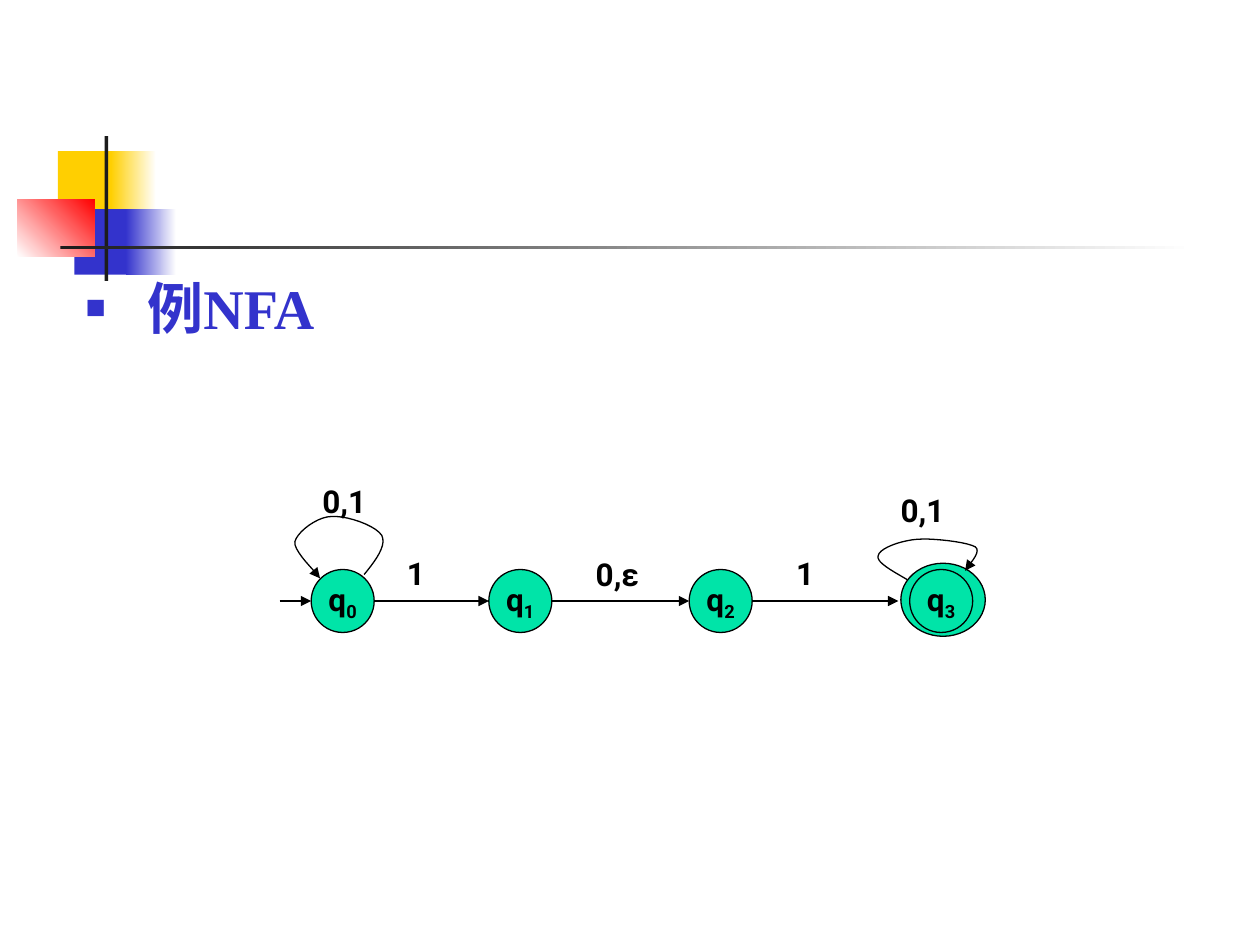
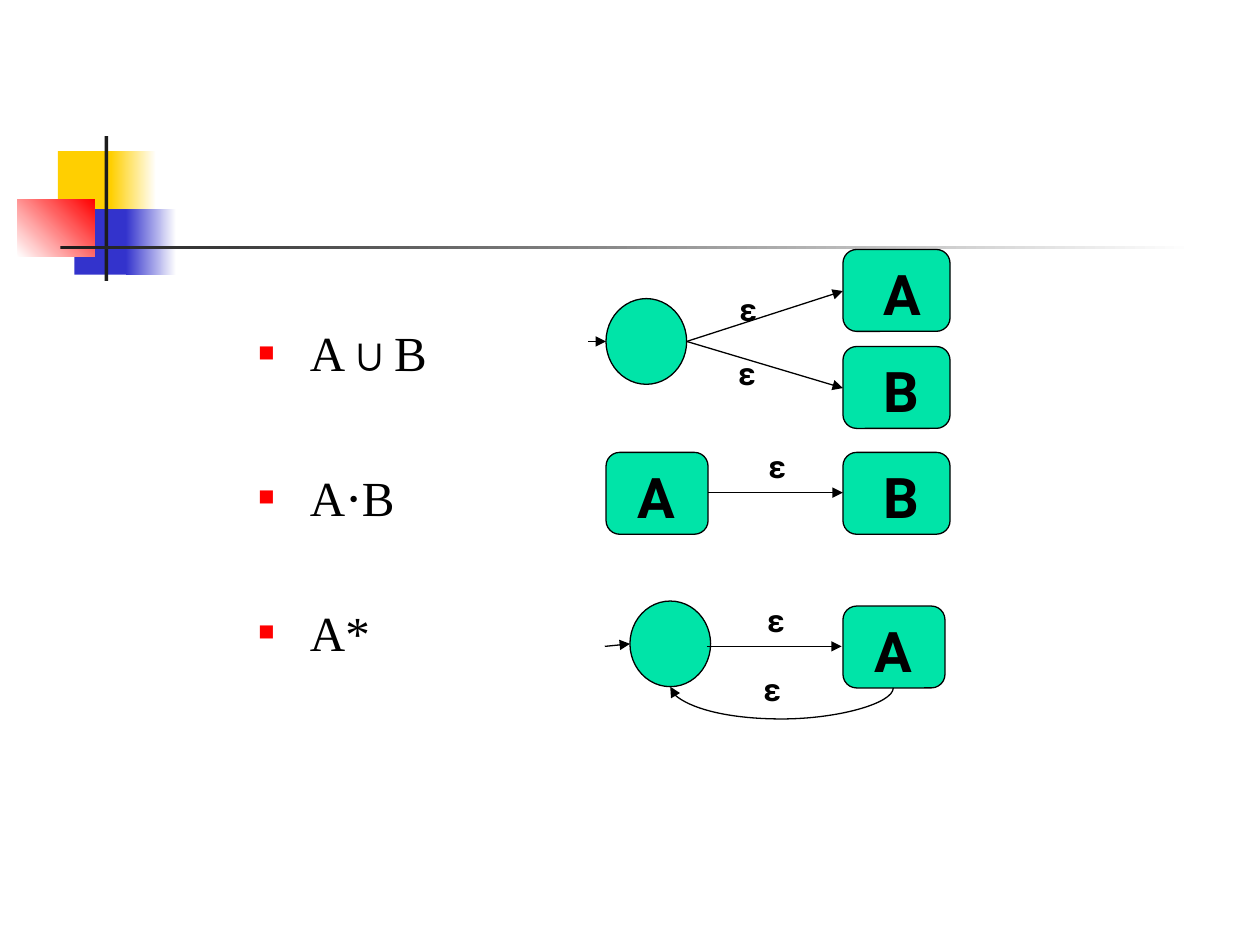
from dataclasses import dataclass

from lxml import etree
from pptx import Presentation
from pptx.dml.color import RGBColor
from pptx.enum.shapes import MSO_CONNECTOR, MSO_SHAPE
from pptx.enum.text import MSO_ANCHOR, MSO_AUTO_SIZE, PP_ALIGN
from pptx.oxml.ns import qn
from pptx.util import Inches, Pt

RECTANGLE, ROUNDED = MSO_SHAPE.RECTANGLE, MSO_SHAPE.ROUNDED_RECTANGLE
OVAL, JUNCTION = MSO_SHAPE.OVAL, MSO_SHAPE.FLOWCHART_CONNECTOR
STRAIGHT, CURVED = MSO_CONNECTOR.STRAIGHT, MSO_CONNECTOR.CURVE
TOP, MIDDLE = MSO_ANCHOR.TOP, MSO_ANCHOR.MIDDLE
LEFT, CENTER = PP_ALIGN.LEFT, PP_ALIGN.CENTER


@dataclass(frozen=True)
class Theme:
    yellow: str = "FFCF01"
    blue: str = "3333CC"
    red: str = "FF0000"
    white: str = "FFFFFF"
    charcoal: str = "1C1C1C"
    black: str = "000000"
    node: str = "00E4A8"
    body_font: str = "Times New Roman"
    diagram_font: str = "Roboto"
    heading_size: int = 32
    list_size: int = 28
    machine_size: int = 32
    label_size: int = 18
    line_width: float = 0.75


theme = Theme()


def style_line(shape, arrow=False):
    """Thin black line without shadow, with an arrowhead if asked."""
    shape.line.color.rgb = RGBColor.from_string(theme.black)
    shape.line.width = Pt(theme.line_width)
    properties = shape.element.spPr
    if arrow:
        etree.SubElement(properties.find(qn("a:ln")), qn("a:tailEnd"), type="triangle")
    if properties.find(qn("a:effectLst")) is None:
        etree.SubElement(properties, qn("a:effectLst"))


def style_text(paragraph, font_name, size, color, bold):
    font = paragraph.font
    font.name, font.size, font.bold = font_name, Pt(size), bold
    font.color.rgb = RGBColor.from_string(color)


presentation = Presentation()
presentation.slide_width, presentation.slide_height = Inches(10), Inches(7.5)
layout = presentation.slide_layouts[1]
nfa_slide = presentation.slides.add_slide(layout)
operations_slide = presentation.slides.add_slide(layout)

# Corner ornament and rule, moved to the shared layout
ornament = [
    ((0.46, 1.2, 0.48, 0.52), [theme.yellow], 0),
    ((0.88, 1.2, 0.36, 0.52), [theme.yellow, theme.white], 0),
    ((0.59, 1.66, 0.46, 0.52), [theme.blue], 0),
    ((1, 1.66, 0.4, 0.52), [theme.blue, theme.white], 0),
    ((0.14, 1.58, 0.61, 0.46), [theme.white, theme.red], 45),
    ((0.83, 1.08, 0.03, 1.15), [theme.charcoal], 0),
    ((0.48, 1.95, 9, 0.03), [theme.charcoal, theme.white], 0),
]
for place, colors, angle in ornament:
    shape = nfa_slide.shapes.add_shape(RECTANGLE, *map(Inches, place))
    shape.shadow.inherit = False
    shape.line.fill.background()
    if len(colors) == 1:
        shape.fill.solid()
        shape.fill.fore_color.rgb = RGBColor.from_string(colors[0])
    else:
        shape.fill.gradient()
        shape.fill.gradient_angle = angle
        for stop, color in zip(shape.fill.gradient_stops, colors):
            stop.color.rgb = RGBColor.from_string(color)
    layout.shapes.element.append(shape.element)

# Bulleted lists: slide, place, level, margin, hanging, bullet colour and size,
# text colour and size, bold, then (text, space before) items
lists = [
    (nfa_slide, (0.58, 2.12, 8.5, 0.96), 0, 0.49, 0.49, theme.blue, 60,
     theme.blue, theme.heading_size, True, [("例NFA", 0)]),
    (operations_slide, (1.45, 2.51, 2.24, 4.5), 1, 0.91, 0.41, theme.red, 55,
     theme.black, theme.list_size, False, [("A∪B", 0), ("A⋅B", 49), ("A*", 43.5)]),
]
for (slide, place, level, margin, hanging, bullet_color, bullet_size,
     color, size, bold, items) in lists:
    title = slide.shapes.title.element
    title.getparent().remove(title)
    body = slide.placeholders[1]
    body.left, body.top, body.width, body.height = map(Inches, place)
    frame = body.text_frame
    frame.auto_size = MSO_AUTO_SIZE.NONE
    frame.text = "\n".join(text for text, _ in items)
    for paragraph, (_, space) in zip(frame.paragraphs, items):
        paragraph.level = level
        properties = paragraph._p.get_or_add_pPr()
        properties.set("marL", str(Inches(margin)))
        properties.set("indent", str(-Inches(hanging)))
        bullet = etree.SubElement(properties, qn("a:buClr"))
        etree.SubElement(bullet, qn("a:srgbClr"), val=bullet_color)
        etree.SubElement(properties, qn("a:buSzPct"), val=str(bullet_size * 1000))
        etree.SubElement(properties, qn("a:buChar"), char="■")
        paragraph.space_before = Pt(space)
        style_text(paragraph, theme.body_font, size, color, bold)

# Nodes: kind, place, name, subscript, left text margin
states = [(OVAL, (left, 4.52, 0.5, 0.5), "q", str(number), 0.1)
          for number, left in enumerate((2.47, 3.88, 5.47, 7.22))]
accepting_ring = (OVAL, (7.15, 4.47, 0.67, 0.58), "", "", 0.1)
machines = [
    (ROUNDED, (left, top, width, 0.65), name, "", margin)
    for left, top, width, name, margin in (
        (6.69, 1.98, 0.85, "A", 0.29), (6.69, 2.75, 0.85, "B", 0.29),
        (6.69, 3.59, 0.85, "B", 0.29), (4.81, 3.59, 0.81, "A", 0.22),
        (6.69, 4.81, 0.81, "A", 0.22))
]
start_states = [(JUNCTION, (left, top, 0.64, 0.68), "", "", 0.1)
                for left, top in ((4.81, 2.37), (5, 4.77))]

# Arrows: start and end
nfa_arrows = [((left, 4.77), (right, 4.77)) for left, right in (
    (2.22, 2.47), (2.97, 3.88), (4.38, 5.47), (5.97, 7.13))]
operation_arrows = [
    ((4.67, 2.71), (4.81, 2.71)), ((5.45, 2.71), (6.69, 2.31)),
    ((5.45, 2.71), (6.69, 3.08)), ((5.62, 3.91), (6.69, 3.91)),
    ((4.8, 5.13), (5, 5.11)), ((5.61, 5.13), (6.68, 5.13)),
]

# Transition labels: text and place
nfa_labels = [
    ("0,1", (2.46, 3.78, 0.75, 0.4)), ("0,1", (7.05, 3.85, 0.83, 0.4)),
    ("1", (3.13, 4.35, 0.42, 0.4)), ("0,ε", (4.63, 4.36, 0.67, 0.4)),
    ("1", (6.22, 4.35, 0.5, 0.4)),
]
operation_labels = [("ε", (left, top, 0.35, 0.4)) for left, top in (
    (5.77, 2.25), (5.76, 2.76), (6, 3.5), (5.99, 4.72), (5.96, 5.27))]

# Draw both diagrams
diagrams = [
    (nfa_slide, [accepting_ring] + states, nfa_arrows, nfa_labels),
    (operations_slide, machines + start_states, operation_arrows, operation_labels),
]
for slide, nodes, arrows, labels in diagrams:
    for kind, place, name, subscript, margin in nodes:
        node = slide.shapes.add_shape(kind, *map(Inches, place))
        node.shadow.inherit = False
        node.fill.solid()
        node.fill.fore_color.rgb = RGBColor.from_string(theme.node)
        style_line(node)
        if not name:
            continue
        frame = node.text_frame
        frame.margin_left = Inches(margin)
        frame.word_wrap = not subscript
        frame.vertical_anchor = MIDDLE if subscript else TOP
        paragraph = frame.paragraphs[0]
        paragraph.alignment = CENTER if subscript else LEFT
        paragraph.add_run().text = name
        if subscript:
            run = paragraph.add_run()
            run.text = subscript
            run._r.get_or_add_rPr().set("baseline", "-25000")
        size = theme.label_size if subscript else theme.machine_size
        style_text(paragraph, theme.diagram_font, size, theme.black, True)
    for start, end in arrows:
        arrow = slide.shapes.add_connector(STRAIGHT, *map(Inches, start + end))
        style_line(arrow, arrow=True)
    for text, place in labels:
        label = slide.shapes.add_textbox(*map(Inches, place))
        label.text_frame.word_wrap = True
        label.text_frame.text = text
        style_text(label.text_frame.paragraphs[0], theme.diagram_font,
                   theme.label_size, theme.black, True)

# Self-loops of the first and last state, as chained cubic curves
self_loops = [
    [(2.89, 4.56), (2.98, 4.45), (3.07, 4.33), (3.03, 4.25), (2.98, 4.17),
     (2.75, 4.09), (2.63, 4.1), (2.52, 4.1), (2.36, 4.22), (2.34, 4.3),
     (2.33, 4.38), (2.51, 4.54), (2.54, 4.59)],
    [(7.2, 4.6), (7.08, 4.53), (6.95, 4.46), (6.97, 4.41), (6.98, 4.35),
     (7.15, 4.29), (7.28, 4.28), (7.4, 4.27), (7.67, 4.3), (7.74, 4.34),
     (7.8, 4.38), (7.67, 4.5), (7.66, 4.53)],
]
STEPS = 10
for controls in self_loops:
    points = []
    for first in range(0, len(controls) - 1, 3):
        curve = controls[first:first + 4]
        for step in range(1, STEPS + 1):
            t = step / STEPS
            weights = ((1 - t) ** 3, 3 * t * (1 - t) ** 2, 3 * t ** 2 * (1 - t), t ** 3)
            points.append(tuple(
                Inches(sum(weight * point[axis] for weight, point in zip(weights, curve)))
                for axis in (0, 1)))
    builder = nfa_slide.shapes.build_freeform(*map(Inches, controls[0]))
    builder.add_line_segments(points, close=False)
    loop = builder.convert_to_shape()
    loop.shadow.inherit = False
    loop.fill.background()
    style_line(loop, arrow=True)

# Return arrow of A*, a curved connector turned by 90 degrees
return_arrow = operations_slide.shapes.add_connector(
    CURVED, *map(Inches, (6.21, 4.57, 6.2, 6.34)))
style_line(return_arrow, arrow=True)
properties = return_arrow.element.spPr
properties.find(qn("a:xfrm")).set("rot", str(90 * 60000))
geometry = properties.find(qn("a:prstGeom"))
adjustments = geometry.find(qn("a:avLst"))
if adjustments is None:
    adjustments = etree.SubElement(geometry, qn("a:avLst"))
etree.SubElement(adjustments, qn("a:gd"), name="adj1", fmla="val -2500000")

presentation.save("out.pptx")
